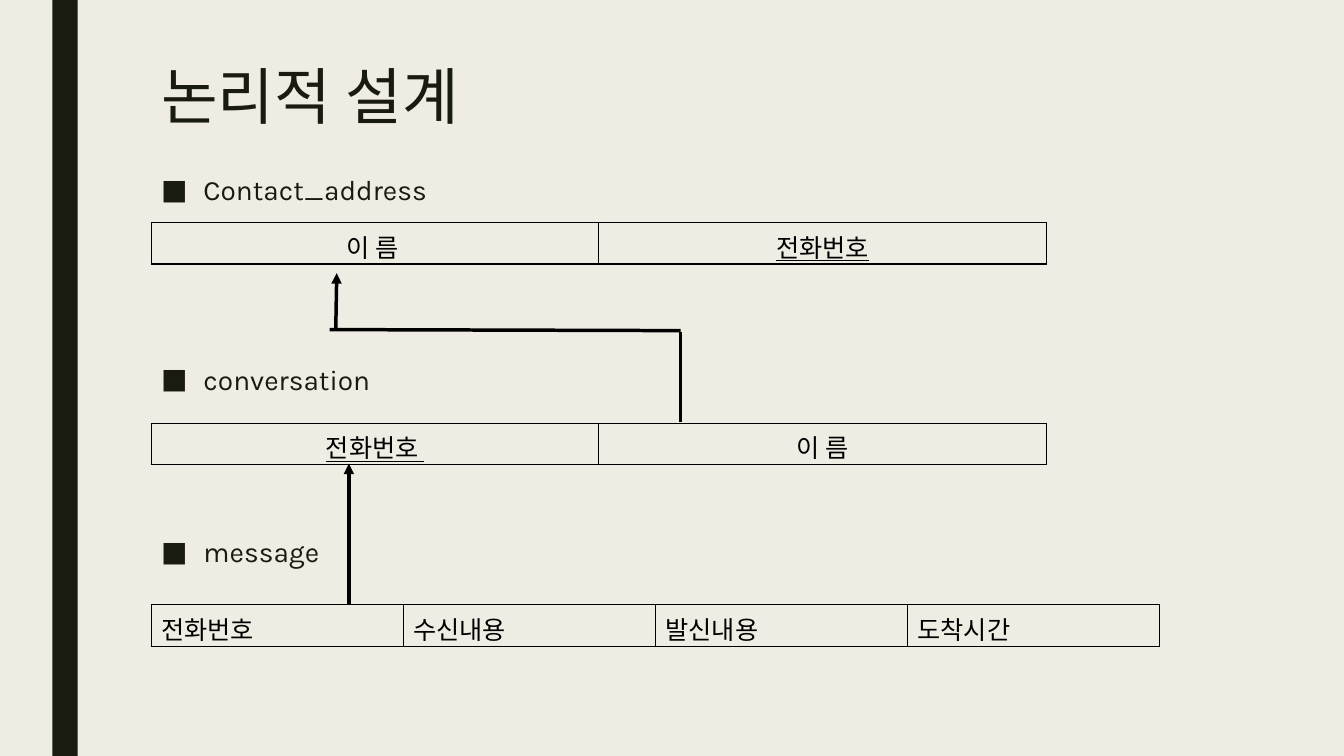
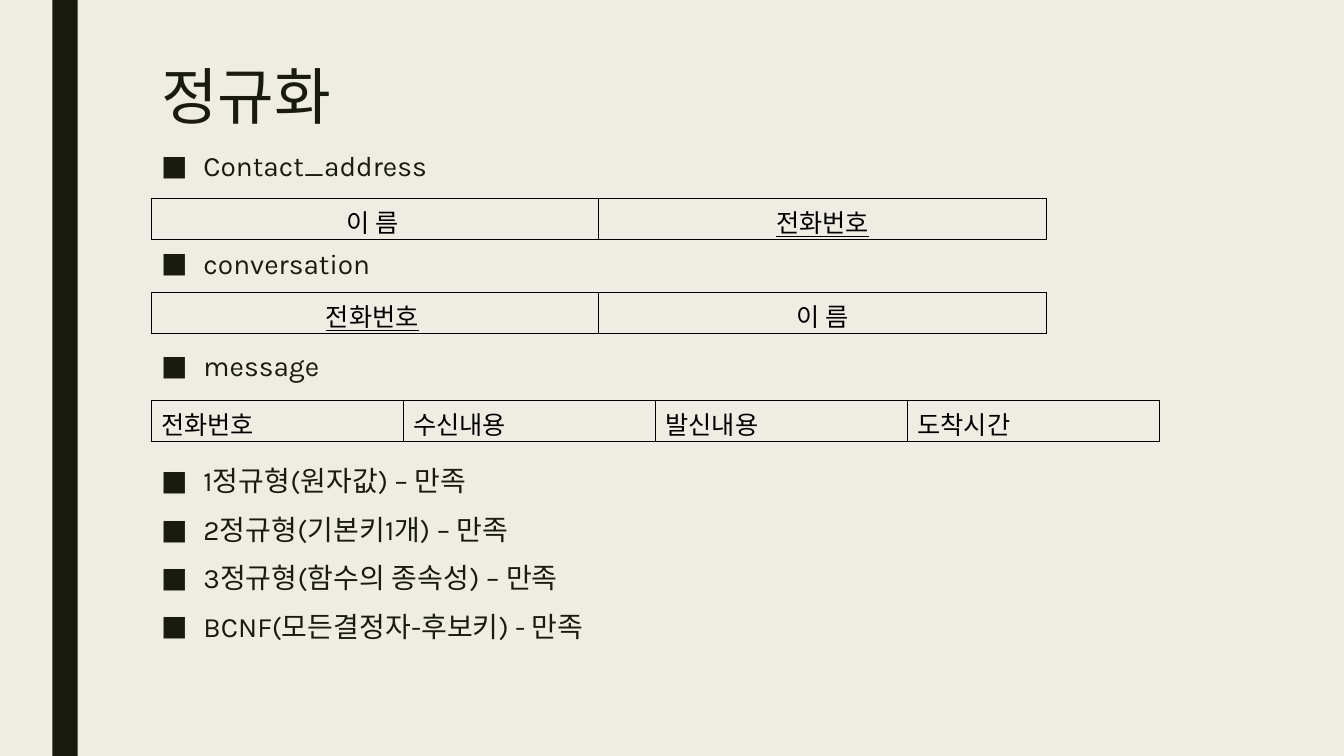
from pptx import Presentation
from pptx import util as u
from pptx.dml.color import RGBColor
from pptx.enum import shapes, text
from pptx.oxml.ns import qn
from lxml import etree

PX = 9144
SLIDE_WIDTH, SLIDE_HEIGHT = 1333, 750
LEFT = 150
LABEL_WIDTH, LABEL_HEIGHT = 463, 56
ROW_HEIGHT = 41
BULLET_INDENT = 42
FONT = "Karla"
CREAM = RGBColor(0xEF, 0xED, 0xE3)
OLIVE = RGBColor(0x19, 0x1B, 0x0E)
BLACK = RGBColor(0, 0, 0)

CENTER = text.PP_ALIGN.CENTER
MESSAGE_CELLS = [[(name, False)] for name in ("전화번호", "수신내용", "발신내용", "도착시간")]
CONTACT_CELLS = [[("이 름 ", False)], [("전화번호", True)]]
NAME_CELL = [("이 름", False)]
NORMAL_FORMS = [
    "1정규형(원자값) – 만족",
    "2정규형(기본키1개) – 만족",
    "3정규형(함수의 종속성) – 만족",
    "BCNF(모든결정자-후보키) - 만족",
]


def px(*lengths):
    return [u.Emu(length * PX) for length in lengths]


def style_font(font, size, color):
    font.name = FONT
    font.size = u.Pt(size)
    font.color.rgb = color


def add_text(slide, box, lines, size, line_spacing, bulleted=False):
    frame = slide.shapes.add_textbox(*px(*box)).text_frame
    frame.word_wrap = True
    frame.vertical_anchor = text.MSO_ANCHOR.TOP if bulleted else text.MSO_ANCHOR.MIDDLE
    for index, line in enumerate(lines):
        paragraph = frame.add_paragraph() if index else frame.paragraphs[0]
        run = paragraph.add_run()
        run.text = line
        paragraph.line_spacing = line_spacing
        if bulleted:
            paragraph.space_after = u.Pt(2)
            if index:
                paragraph.space_before = u.Pt(10)
            properties = paragraph._p.get_or_add_pPr()
            properties.set("marL", str(BULLET_INDENT * PX))
            properties.set("indent", str(-BULLET_INDENT * PX))
            etree.SubElement(properties, qn("a:buFont"), typeface=FONT)
            etree.SubElement(properties, qn("a:buChar"), char="■")
        style_font(run.font, size, OLIVE)
        etree.SubElement(run._r.get_or_add_rPr(), qn("a:ea"), typeface=FONT)


def add_bullets(slide, top, lines, height=LABEL_HEIGHT):
    add_text(slide, (LEFT, top, LABEL_WIDTH, height), lines, 20, 0.94, bulleted=True)


def add_cell_borders(cell):
    properties = cell._tc.get_or_add_tcPr()
    for position, side in enumerate(("lnL", "lnR", "lnT", "lnB")):
        border = etree.Element(qn("a:" + side), w=str(u.Pt(1)))
        fill = etree.SubElement(border, qn("a:solidFill"))
        etree.SubElement(fill, qn("a:srgbClr"), val=str(BLACK))
        properties.insert(position, border)


def add_entity(slide, label_top, table_top, name, cells, column_width, alignment=None):
    add_bullets(slide, label_top, [name])
    width = column_width * len(cells)
    box = px(LEFT, table_top, width, ROW_HEIGHT)
    table = slide.shapes.add_table(1, len(cells), *box).table
    table.first_row = False
    table.horz_banding = False
    for column, runs in enumerate(cells):
        table.columns[column].width = px(column_width)[0]
        cell = table.cell(0, column)
        cell.fill.background()
        add_cell_borders(cell)
        paragraph = cell.text_frame.paragraphs[0]
        paragraph.alignment = alignment
        for content, underlined in runs:
            run = paragraph.add_run()
            run.text = content
            style_font(run.font, 18, BLACK)
            run.font.underline = underlined


def add_schema(slide, tops, phone_cell):
    contact, conversation, message = tops
    add_entity(slide, *contact, "Contact_address", CONTACT_CELLS, 444, CENTER)
    add_entity(slide, *conversation, "conversation", [phone_cell, NAME_CELL], 444, CENTER)
    add_entity(slide, *message, "message", MESSAGE_CELLS, 250)


def add_line(slide, start, end, arrow=False):
    connector = slide.shapes.add_connector(
        shapes.MSO_CONNECTOR.STRAIGHT, *px(*start, *end))
    connector.line.color.rgb = BLACK
    connector.line.width = u.Pt(2.5)
    if arrow:
        etree.SubElement(connector.line._get_or_add_ln(), qn("a:tailEnd"), type="triangle")
    etree.SubElement(connector._element.spPr, qn("a:effectLst"))


def add_base_slide(presentation, title):
    slide = presentation.slides.add_slide(presentation.slide_layouts[6])
    band = slide.shapes.add_shape(
        shapes.MSO_SHAPE.RECTANGLE, *px(52, 0, 25, SLIDE_HEIGHT))
    band.shadow.inherit = False
    band.fill.solid()
    band.fill.fore_color.rgb = OLIVE
    band.line.fill.background()
    add_text(slide, (LEFT, 59, 940, 80), [title], 44, 0.89)
    return slide


def add_logical_design(presentation):
    slide = add_base_slide(presentation, "논리적 설계")
    add_schema(slide, [(169, 221), (357, 420), (528, 600)], [("전화번호 ", True)])
    add_line(slide, (675, 419), (675, 329))
    add_line(slide, (327, 327), (675, 328))
    add_line(slide, (333, 328), (334, 271), arrow=True)
    add_line(slide, (346, 599), (346, 460), arrow=True)


def add_normalization(presentation):
    slide = add_base_slide(presentation, "정규화")
    add_schema(slide, [(145, 197), (242, 290), (344, 397)],
               [("전화번호", True), (" ", False)])
    add_bullets(slide, 458, NORMAL_FORMS, 218)


def main():
    presentation = Presentation()
    presentation.slide_width, presentation.slide_height = px(SLIDE_WIDTH, SLIDE_HEIGHT)
    background = presentation.slide_master.background.fill
    background.solid()
    background.fore_color.rgb = CREAM
    add_logical_design(presentation)
    add_normalization(presentation)
    presentation.save("out.pptx")


if __name__ == "__main__":
    main()
